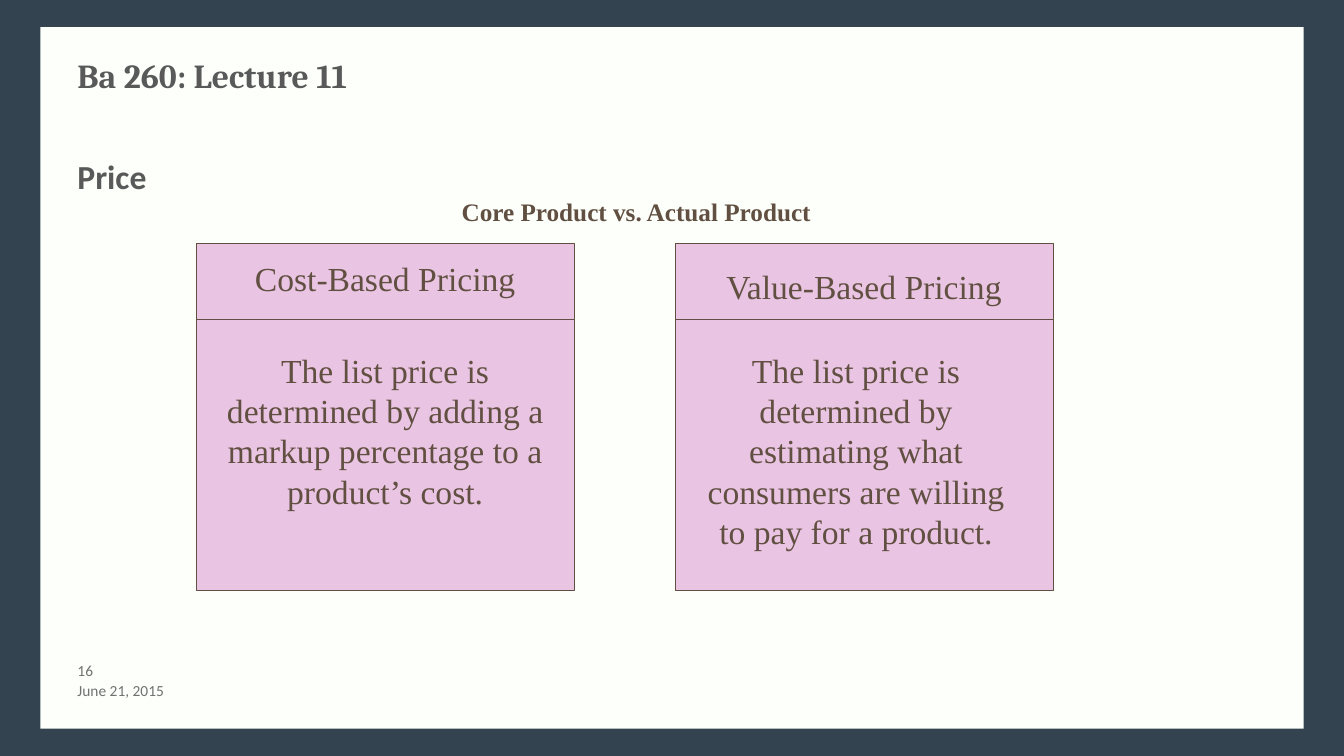
from dataclasses import dataclass

from lxml import etree
from pptx import Presentation
from pptx import util as u
from pptx.dml.color import RGBColor
from pptx.enum import shapes, text
from pptx.oxml.ns import qn


@dataclass(frozen=True)
class Theme:
    frame: str = "344350"
    paper: str = "FDFFFB"
    heading: str = "595959"
    footer: str = "717171"
    brown: str = "615042"
    card: str = "EAC5E3"
    title_font: str = "Cambria"
    body_font: str = "Calibri"
    card_font: str = "Times New Roman"
    large: int = 24
    medium: int = 18
    small: int = 11
    line: float = 0.75


THEME = Theme()
LEFT, CENTER = text.PP_ALIGN.LEFT, text.PP_ALIGN.CENTER
TOP, MIDDLE = text.MSO_ANCHOR.TOP, text.MSO_ANCHOR.MIDDLE


def color(value):
    return RGBColor.from_string(value)


def inches(*values):
    return [u.Inches(value) for value in values]


def add_text(slide, box, words, font, size, ink, bold=False, align=LEFT,
             anchor=TOP, inset=0.05, wrap=True):
    shape = slide.shapes.add_textbox(*inches(*box))
    frame = shape.text_frame
    frame.word_wrap = wrap
    frame.vertical_anchor = anchor
    frame.margin_top = frame.margin_bottom = u.Inches(inset)
    paragraph = frame.paragraphs[0]
    paragraph.text = words
    paragraph.alignment = align
    paragraph.font.name = font
    paragraph.font.size = u.Pt(size)
    paragraph.font.bold = bold
    paragraph.font.color.rgb = color(ink)


def add_rectangle(slide, box, fill, outline=None):
    shape = slide.shapes.add_shape(shapes.MSO_SHAPE.RECTANGLE, *inches(*box))
    shape.shadow.inherit = False
    shape.fill.solid()
    shape.fill.fore_color.rgb = color(fill)
    if outline:
        shape.line.color.rgb = color(outline)
        shape.line.width = u.Pt(THEME.line)
    else:
        shape.line.fill.background()


def add_rule(slide, left, top, width):
    rule = slide.shapes.add_connector(
        shapes.MSO_CONNECTOR.STRAIGHT, *inches(left, top, left + width, top))
    rule.line.color.rgb = color(THEME.brown)
    rule.line.width = u.Pt(THEME.line)
    etree.SubElement(rule._element.spPr, qn("a:effectLst"))


def add_headings(slide, box):
    left, top, width, _ = box
    add_text(slide, (left, top, width, 0.75), "Ba 260: Lecture 11",
             THEME.title_font, THEME.large, THEME.heading, bold=True)
    add_text(slide, (left, top + 1, 5.84, 0.5), "Price",
             THEME.body_font, THEME.large, THEME.heading, bold=True)
    add_text(slide, (4.48, top + 1.4, 3.7, 0.4), "Core Product vs. Actual Product",
             THEME.card_font, THEME.medium, THEME.brown, bold=True, wrap=False)


def add_card(slide, box, heading, heading_top, body, body_left):
    left, top, width, _ = box
    add_rectangle(slide, box, THEME.card, THEME.brown)
    add_rule(slide, left, top + 0.75, width)
    parts = [
        ((left + 0.08, top + heading_top, 3.58, 0.51), heading),
        ((left + body_left, top + 1, 3.42, 2.12), body),
    ]
    for part_box, words in parts:
        add_text(slide, part_box, words, THEME.card_font, THEME.large,
                 THEME.brown, align=CENTER)


def add_footer(slide, box):
    left, top, width, height = box
    for row, words in enumerate(("16", "June 21, 2015")):
        add_text(slide, (left, top + row * height / 2, width, height / 2), words,
                 THEME.body_font, THEME.small, THEME.footer,
                 anchor=MIDDLE, inset=0)


def build_pricing_slide(presentation):
    slide = presentation.slides.add_slide(presentation.slide_layouts[6])
    # Frame and paper
    slide.background.fill.solid()
    slide.background.fill.fore_color.rgb = color(THEME.frame)
    add_rectangle(slide, (0.4, 0.27, 12.53, 6.96), THEME.paper)
    # Title, topic and caption
    add_headings(slide, (0.67, 0.5, 12, 1.8))
    # Pricing cards: heading, its drop, body, its indent
    cards = [
        ("Cost-Based Pricing", 0.09,
         "The list price is determined by adding a markup percentage "
         "to a product’s cost.", 0.16),
        ("Value-Based Pricing", 0.17,
         "The list price is determined by estimating what consumers "
         "are willing to pay for a product.", 0.08),
    ]
    for column, card in enumerate(cards):
        add_card(slide, (1.95 + column * 4.75, 2.42, 3.75, 3.44), *card)
    # Slide number and date
    add_footer(slide, (0.67, 6.55, 2.67, 0.4))


presentation = Presentation()
presentation.slide_width, presentation.slide_height = inches(13.33, 7.5)
build_pricing_slide(presentation)
presentation.save("out.pptx")
